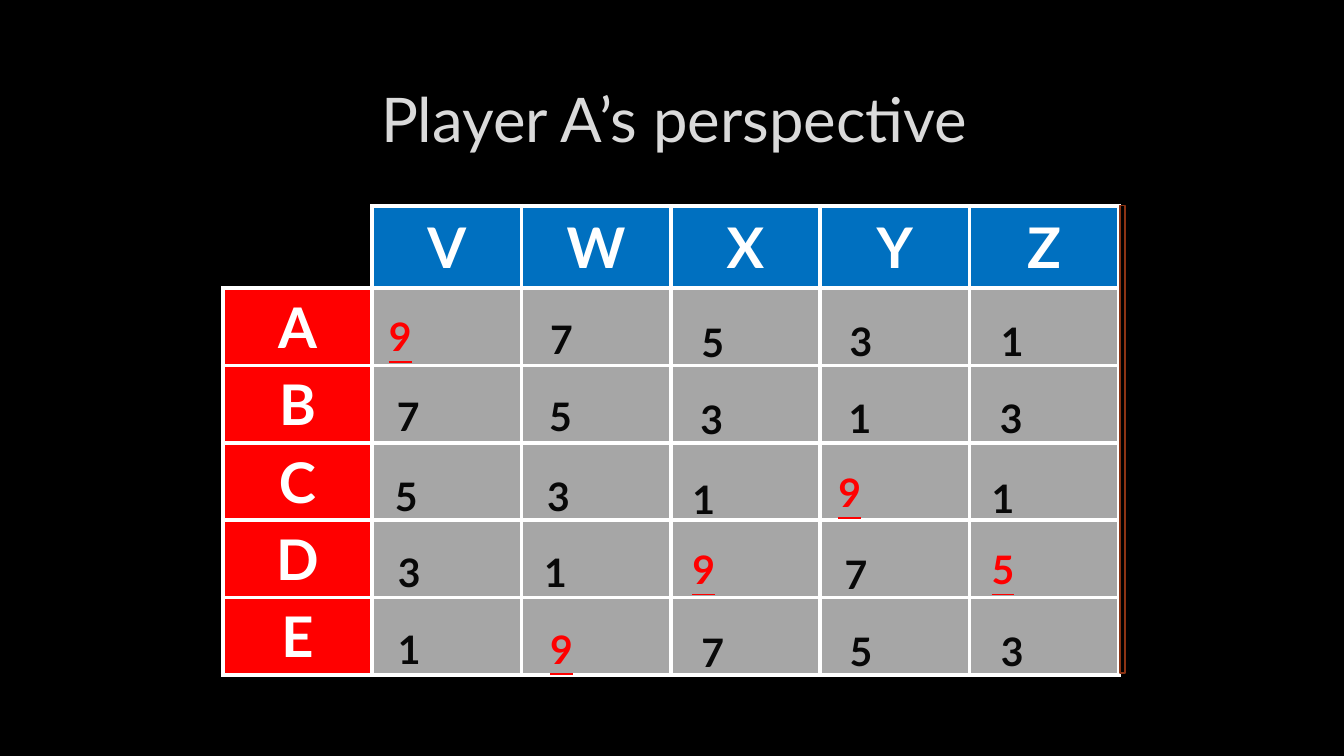
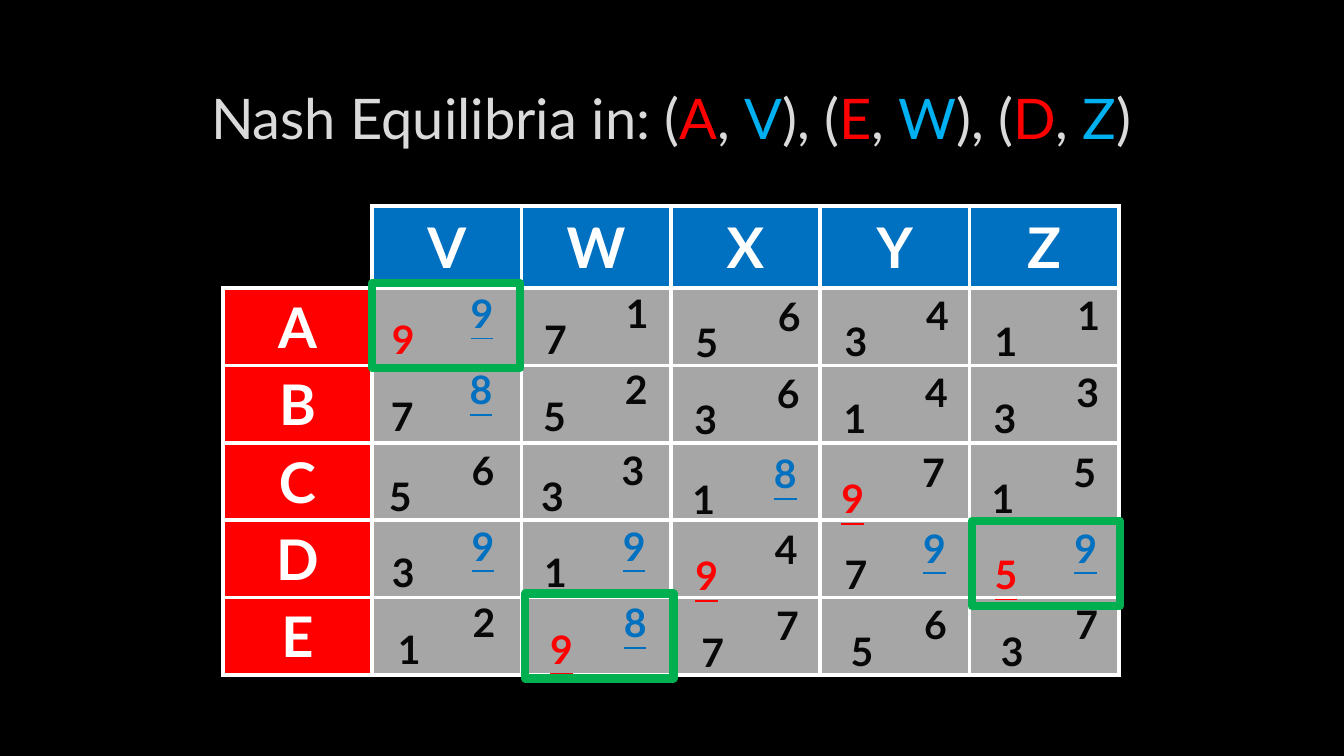
import pptx
import pptx.util
import pptx.dml.color
import pptx.enum.shapes
import pptx.enum.text
import pptx.oxml
import pptx.oxml.ns

RGBColor = pptx.dml.color.RGBColor
BLACK = RGBColor(0x00, 0x00, 0x00)
WHITE = RGBColor(0xFF, 0xFF, 0xFF)
TITLE_GREY = RGBColor(0xDA, 0xDA, 0xDA)
OUTLINE_GREY = RGBColor(0x40, 0x40, 0x40)
CELL_GREY = RGBColor(0xA6, 0xA6, 0xA6)
INK = RGBColor(0x08, 0x08, 0x08)
RED = RGBColor(0xFF, 0x00, 0x00)
BLUE = RGBColor(0x00, 0x70, 0xC0)
SKY = RGBColor(0x00, 0xB0, 0xF0)
GREEN = RGBColor(0x00, 0xB0, 0x50)
RUST = RGBColor(0x8B, 0x33, 0x14)

GRID_COLUMNS = 133.33
GRID_ROWS = 75

STRATEGIES_A = "ABCDE"
STRATEGIES_B = "VWXYZ"
PAYOFFS_A = ["97531", "75313", "53191", "31975", "19753"]
PAYOFFS_B = ["91641", "82643", "63875", "99499", "28767"]

ROW_TOPS = [30.8, 38.4, 46.4, 53.9, 61.5]
COLUMN_DROPS = [0, 0, 0.3, 0.2, 0.2]
RIVAL_RISE = 2.6

SOLO_LEFTS = [38.5, 53.6, 68.6, 83.3, 98.3]
SOLO_SHIFTS = [0, -0.1, -0.3, 0, 0]
SOLO_NUDGES = {
    "AV": (-0.9, -0.3), "CX": (-0.6, 0), "CY": (-0.8, -0.6), "CZ": (-0.6, 0),
    "DW": (-0.6, 0), "DX": (-0.9, -0.6), "DY": (-0.5, 0), "DZ": (-0.9, -0.5),
}
PAIR_LEFTS = [37.9, 53, 68, 82.8, 97.7]
PAIR_SHIFTS = [0, -0.1, -0.3, 0, 0.6]
RIVAL_LEFTS = [45.9, 61.1, 76.2, 90.9, 105.9]
RIVAL_SHIFTS = [0, -0.1, -0.4, -0.3, -0.2]
RIVAL_NUDGES = {"AV": (-0.2, 0), "BV": (-0.2, 0), "CV": (0.3, 0),
                "DV": (0.2, 0), "EV": (0.2, 0)}

EQUILIBRIA = {"AV": (36.9, 28.1), "EW": (52.1, 58.9), "DZ": (96.4, 51.7)}


def best_in_column(payoffs, row, column):
    return payoffs[row][column] == max(line[column] for line in payoffs)


def best_in_row(payoffs, row, column):
    return payoffs[row][column] == max(payoffs[row])


class Deck:
    font = "Lato"
    heading_size = 40
    payoff_size = 28

    def __init__(self):
        self.presentation = pptx.Presentation()
        self.presentation.slide_width = pptx.util.Inches(13.33)
        self.presentation.slide_height = pptx.util.Inches(7.5)
        backdrop = self.presentation.slide_master.background.fill
        backdrop.solid()
        backdrop.fore_color.rgb = BLACK
        self.slide = None

    def new_slide(self):
        self.slide = self.presentation.slides.add_slide(self.presentation.slide_layouts[6])

    def place(self, left, top, width, height):
        column = self.presentation.slide_width / GRID_COLUMNS
        row = self.presentation.slide_height / GRID_ROWS
        return [pptx.util.Emu(round(length)) for length in
                (left * column, top * row, width * column, height * row)]

    def run(self, paragraph, text, size, color, bold=False, underline=None):
        run = paragraph.add_run()
        run.text = text
        run.font.name = self.font
        run.font.size = pptx.util.Pt(size)
        run.font.bold = bold
        run.font.underline = underline
        run.font.color.rgb = color
        return run

    def line_xml(self, tag, color, width, alpha=100):
        return pptx.oxml.parse_xml(
            f'<a:{tag} {pptx.oxml.ns.nsdecls("a")} w="{pptx.util.Pt(width)}">'
            f'<a:solidFill><a:srgbClr val="{color}"><a:alpha val="{alpha * 1000}"/>'
            f'</a:srgbClr></a:solidFill><a:prstDash val="solid"/></a:{tag}>')

    def title(self, parts, size, left, top):
        frame = self.slide.shapes.add_textbox(*self.place(left, top, 113.2, 10.6)).text_frame
        frame.word_wrap = True
        frame.vertical_anchor = pptx.enum.text.MSO_ANCHOR.MIDDLE
        heading = frame.paragraphs[0]
        heading.alignment = pptx.enum.text.PP_ALIGN.CENTER
        heading.line_spacing = 0.9
        for text, color in parts:
            run = self.run(heading, text, size, color)
            run.font._element.insert(0, self.line_xml("ln", OUTLINE_GREY, 0.75, 10))

    def cell(self, cell, color, label="", outer=(WHITE, 3)):
        cell.fill.solid()
        cell.fill.fore_color.rgb = color
        properties = cell._tc.get_or_add_tcPr()
        edges = {"lnL": outer, "lnR": (WHITE, 3), "lnT": outer, "lnB": (WHITE, 3)}
        for position, (tag, pen) in enumerate(edges.items()):
            properties.insert(position, self.line_xml(tag, *pen))
        cell.vertical_anchor = pptx.enum.text.MSO_ANCHOR.MIDDLE
        if label:
            paragraph = cell.text_frame.paragraphs[0]
            paragraph.alignment = pptx.enum.text.PP_ALIGN.CENTER
            self.run(paragraph, label, self.heading_size, WHITE, bold=True)

    def game_table(self):
        table = self.slide.shapes.add_table(6, 6, *self.place(22.1, 20.4, 88.9, 46.5)).table
        table.first_row = False
        table.horz_banding = False
        for row in table.rows:
            row.height = self.place(0, 0, 0, 7.66)[3]
        table.rows[0].height = self.place(0, 0, 0, 8.2)[3]
        self.cell(table.cell(0, 0), BLACK, outer=(BLACK, 1))
        for index in range(5):
            self.cell(table.cell(0, index + 1), BLUE, STRATEGIES_B[index])
            self.cell(table.cell(index + 1, 0), RED, STRATEGIES_A[index])
            for column in range(1, 6):
                self.cell(table.cell(index + 1, column), CELL_GREY)

    def payoffs(self, values, is_best, best_color, lefts, shifts, nudges, rise=0):
        for row, line in enumerate(values):
            for column, value in enumerate(line):
                right, down = nudges.get(STRATEGIES_A[row] + STRATEGIES_B[column], (0, 0))
                left = lefts[column] + shifts[row] + right
                top = ROW_TOPS[row] + COLUMN_DROPS[column] - rise + down
                frame = self.slide.shapes.add_textbox(*self.place(left, top, 4, 5.7)).text_frame
                frame.word_wrap = False
                frame.auto_size = pptx.enum.text.MSO_AUTO_SIZE.SHAPE_TO_FIT_TEXT
                best = is_best(values, row, column)
                self.run(frame.paragraphs[0], value, self.payoff_size,
                         best_color if best else INK, True, best or None)

    def box(self, left, top, width, height, color, weight, fill=None, alpha=100):
        box = self.slide.shapes.add_shape(
            pptx.enum.shapes.MSO_SHAPE.RECTANGLE, *self.place(left, top, width, height))
        box.shadow.inherit = False
        box.line.color.rgb = color
        box.line.width = pptx.util.Pt(weight)
        if fill is None:
            box.fill.background()
            return
        box.fill.solid()
        box.fill.fore_color.rgb = fill
        tint = box._element.spPr.find(pptx.oxml.ns.qn("a:solidFill"))[0]
        tint.append(pptx.oxml.parse_xml(
            f'<a:alpha {pptx.oxml.ns.nsdecls("a")} val="{alpha * 1000}"/>'))


def equilibria_title():
    parts = [("Nash Equilibria in: (", TITLE_GREY)]
    for position, (choice_a, choice_b) in enumerate(EQUILIBRIA):
        if position:
            parts.append(("), (", TITLE_GREY))
        parts += [(choice_a, RED), (", ", TITLE_GREY), (choice_b, SKY)]
    return parts + [(")", TITLE_GREY)]


def main():
    deck = Deck()

    deck.new_slide()
    deck.title([("Player A’s perspective", TITLE_GREY)], 44, 10.3, 6.9)
    deck.game_table()
    deck.payoffs(PAYOFFS_A, best_in_column, RED, SOLO_LEFTS, SOLO_SHIFTS, SOLO_NUDGES)
    deck.box(111.1, 20.4, 0.5, 46.4, RUST, 1.25, BLACK, 80)

    deck.new_slide()
    deck.title(equilibria_title(), 40, 10, 6.7)
    deck.game_table()
    deck.payoffs(PAYOFFS_A, best_in_column, RED, PAIR_LEFTS, PAIR_SHIFTS, {})
    deck.payoffs(PAYOFFS_B, best_in_row, BLUE, RIVAL_LEFTS, RIVAL_SHIFTS, RIVAL_NUDGES,
                 RIVAL_RISE)
    for left, top in EQUILIBRIA.values():
        deck.box(left, top, 14.7, 8.4, GREEN, 6)

    deck.presentation.save("out.pptx")


if __name__ == "__main__":
    main()
